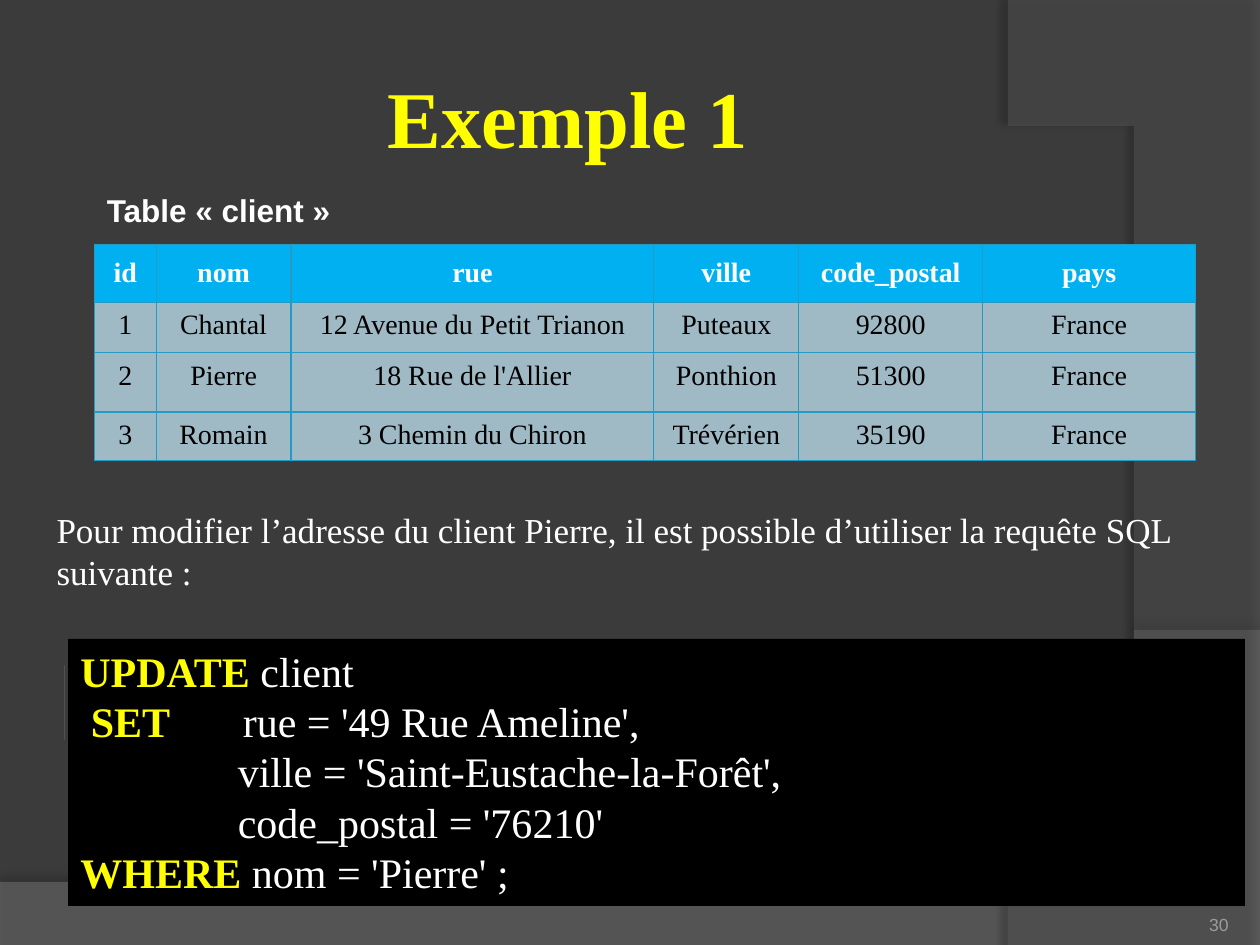
"""Build the slide "Exemple 1": a client table and the SQL UPDATE that changes it."""
from lxml.etree import SubElement
from pptx import Presentation
from pptx.dml.color import RGBColor
from pptx.enum.shapes import MSO_SHAPE
from pptx.enum.text import MSO_ANCHOR as Anchor, PP_ALIGN as Align
from pptx.oxml import parse_xml
from pptx.oxml.ns import nsdecls, qn
from pptx.util import Inches, Pt

SERIF, SANS = "Times New Roman", "Arial"
BACKGROUND = RGBColor(0x3B, 0x3B, 0x3B)
WAVE_GREY = RGBColor(0x7F, 0x7F, 0x7F)
ARC_GREY = RGBColor(0x5E, 0x5E, 0x5E)
NUMBER_GREY = RGBColor(0x9D, 0x9B, 0x9A)
PALE = RGBColor(0xF4, 0xF4, 0xF4)
YELLOW = RGBColor(0xFF, 0xFF, 0x00)
WHITE = RGBColor(0xFF, 0xFF, 0xFF)
BLACK = RGBColor(0x00, 0x00, 0x00)
HEADER_BLUE = RGBColor(0x00, 0xB0, 0xF0)
ROW_BLUE = RGBColor(0xA0, 0xBA, 0xC5)
BORDER_BLUE = RGBColor(0x23, 0x9B, 0xC2)

TITLE = "Exemple 1 "
CAPTION = "Table «\u00a0client\u00a0»"
SENTENCE = ("Pour modifier l’adresse du client Pierre, il est possible "
            "d’utiliser la requête SQL suivante :")
PAGE_NUMBER = "30"
CLIENTS = [
    ("id", "nom", "rue", "ville", "code_postal", "pays"),
    ("1", "Chantal", "12 Avenue du Petit Trianon", "Puteaux", "92800", "France"),
    ("2", "Pierre", "18 Rue de l'Allier", "Ponthion", "51300", "France"),
    ("3", "Romain", "3 Chemin du Chiron", "Trévérien", "35190", "France"),
]
COLUMN_WIDTHS = (0.49, 1.07, 2.88, 1.15, 1.46, 1.69)
ROW_HEIGHTS = (0.46, 0.4, 0.47, 0.36)
QUERY = [
    ("UPDATE ", "client"),
    (" SET ", "      rue = '49 Rue Ameline',"),
    ("", "               ville = 'Saint-Eustache-la-Forêt',"),
    ("", "               code_postal = '76210'"),
    ("WHERE", " nom = 'Pierre' ;"),
]


def bezier(start, pull1, pull2, end, steps=40):
    def at(t):
        weights = ((1 - t) ** 3, 3 * t * (1 - t) ** 2, 3 * t * t * (1 - t), t ** 3)
        return tuple(sum(w * p[axis] for w, p in zip(weights, (start, pull1, pull2, end)))
                     for axis in (0, 1))
    return [at(i / steps) for i in range(steps + 1)]


WAVE = [(0, 7.05), (0, 7.51), (10, 7.51)] + bezier(
    (10, 5.2), (5.59, 7.29), (3.91, 7.19), (0, 7.05))
ARC = [(10, 0.02), (10, 7.5)] + bezier((8.21, 7.5), (9.35, 6.19), (10.18, 3), (8, 0))


def style(paragraph, size, color, font=SERIF, bold=False, align=Align.LEFT):
    paragraph.alignment = align
    paragraph.font.name, paragraph.font.size = font, Pt(size)
    paragraph.font.bold, paragraph.font.color.rgb = bold, color


def set_margins(holder, side, top):
    holder.margin_left = holder.margin_right = Inches(side)
    holder.margin_top = holder.margin_bottom = Inches(top)


def add_backdrop(slide, points, color, opacity, shadow):
    builder = slide.shapes.build_freeform(*points[0], scale=Inches(1))
    builder.add_line_segments(points[1:], close=True)
    backdrop = builder.convert_to_shape()
    backdrop.fill.solid()
    backdrop.fill.fore_color.rgb = color
    backdrop.line.fill.background()
    props = backdrop._element.spPr
    SubElement(props.find(".//" + qn("a:srgbClr")), qn("a:alpha"), val=str(opacity * 1000))
    alpha, blur, distance, angle = shadow
    props.append(parse_xml(
        f'<a:effectLst {nsdecls("a")}><a:outerShdw blurRad="{Pt(blur)}" '
        f'dist="{Pt(distance)}" dir="{angle * 60000}" algn="ctr" rotWithShape="0">'
        f'<a:srgbClr val="000000"><a:alpha val="{alpha * 1000}"/></a:srgbClr>'
        '</a:outerShdw></a:effectLst>'))


def add_label(slide, box, text, wrap=True, **look):
    frame = slide.shapes.add_textbox(*map(Inches, box)).text_frame
    frame.word_wrap = wrap
    frame.text = text
    style(frame.paragraphs[0], **look)
    return frame


def add_box(slide, box, color):
    shape = slide.shapes.add_shape(MSO_SHAPE.RECTANGLE, *map(Inches, box))
    shape.shadow.inherit = False
    shape.fill.solid()
    shape.fill.fore_color.rgb = color
    shape.line.fill.background()
    return shape


def add_borders(cell):
    props = cell._tc.get_or_add_tcPr()
    for index, side in enumerate(("lnL", "lnR", "lnT", "lnB")):
        props.insert(index, parse_xml(
            f'<a:{side} {nsdecls("a")} w="{Pt(0.75)}"><a:solidFill>'
            f'<a:srgbClr val="{BORDER_BLUE}"/></a:solidFill></a:{side}>'))


def add_clients(slide):
    table = slide.shapes.add_table(
        len(CLIENTS), len(COLUMN_WIDTHS), Inches(0.75), Inches(1.94),
        Inches(sum(COLUMN_WIDTHS)), Inches(sum(ROW_HEIGHTS))).table
    for column, width in zip(table.columns, COLUMN_WIDTHS):
        column.width = Inches(width)
    for r, (record, height) in enumerate(zip(CLIENTS, ROW_HEIGHTS)):
        header = r == 0
        table.rows[r].height = Inches(height)
        for c, value in enumerate(record):
            cell = table.cell(r, c)
            cell.text = value
            cell.vertical_anchor = Anchor.MIDDLE if header else Anchor.TOP
            set_margins(cell, *((0.04, 0.04) if header else (0.09, 0.06)))
            cell.fill.solid()
            cell.fill.fore_color.rgb = HEADER_BLUE if header else ROW_BLUE
            add_borders(cell)
            style(cell.text_frame.paragraphs[0], 16, WHITE if header else BLACK,
                  bold=header, align=Align.CENTER)


def add_query(slide):
    frame = add_box(slide, (0.54, 5.07, 9.34, 2.12), BLACK).text_frame
    frame.word_wrap = True
    frame.vertical_anchor = Anchor.TOP
    for i, (keyword, rest) in enumerate(QUERY):
        line = frame.add_paragraph() if i else frame.paragraphs[0]
        style(line, 24, WHITE)
        if keyword:
            run = line.add_run()
            run.text = keyword
            run.font.bold, run.font.color.rgb = True, YELLOW
        line.add_run().text = rest


def main():
    deck = Presentation()
    deck.slide_width, deck.slide_height = Inches(10), Inches(7.5)
    slide = deck.slides.add_slide(deck.slide_layouts[5])
    slide.background.fill.solid()
    slide.background.fill.fore_color.rgb = BACKGROUND

    add_backdrop(slide, WAVE, WAVE_GREY, 45, (35, 4, 3.5, 270))
    add_backdrop(slide, ARC, ARC_GREY, 40, (45, 4, 4, 180))

    title = slide.shapes.title
    slide.shapes._spTree.append(title._element)
    title.left, title.top, title.width, title.height = map(Inches, (0.5, 0.3, 8.17, 1.25))
    title.text_frame.text = TITLE
    title.text_frame.vertical_anchor = Anchor.MIDDLE
    set_margins(title.text_frame, 0.05, 0.05)
    style(title.text_frame.paragraphs[0], 46, YELLOW, bold=True, align=Align.CENTER)

    number = add_label(slide, (8.92, 7.02, 0.83, 0.4), PAGE_NUMBER, size=10,
                       color=NUMBER_GREY, font=SANS, align=Align.RIGHT)
    number.vertical_anchor = Anchor.BOTTOM
    set_margins(number, 0, 0)

    add_clients(slide)
    add_label(slide, (0.75, 1.47, 2.06, 0.4), CAPTION, wrap=False, size=18,
              color=WHITE, font=SANS, bold=True)
    add_label(slide, (0.35, 3.99, 9.29, 0.77), SENTENCE, size=20, color=WHITE)
    add_box(slide, (0.51, 5.28, 0, 0.59), PALE)
    add_query(slide)
    deck.save("out.pptx")


if __name__ == "__main__":
    main()
